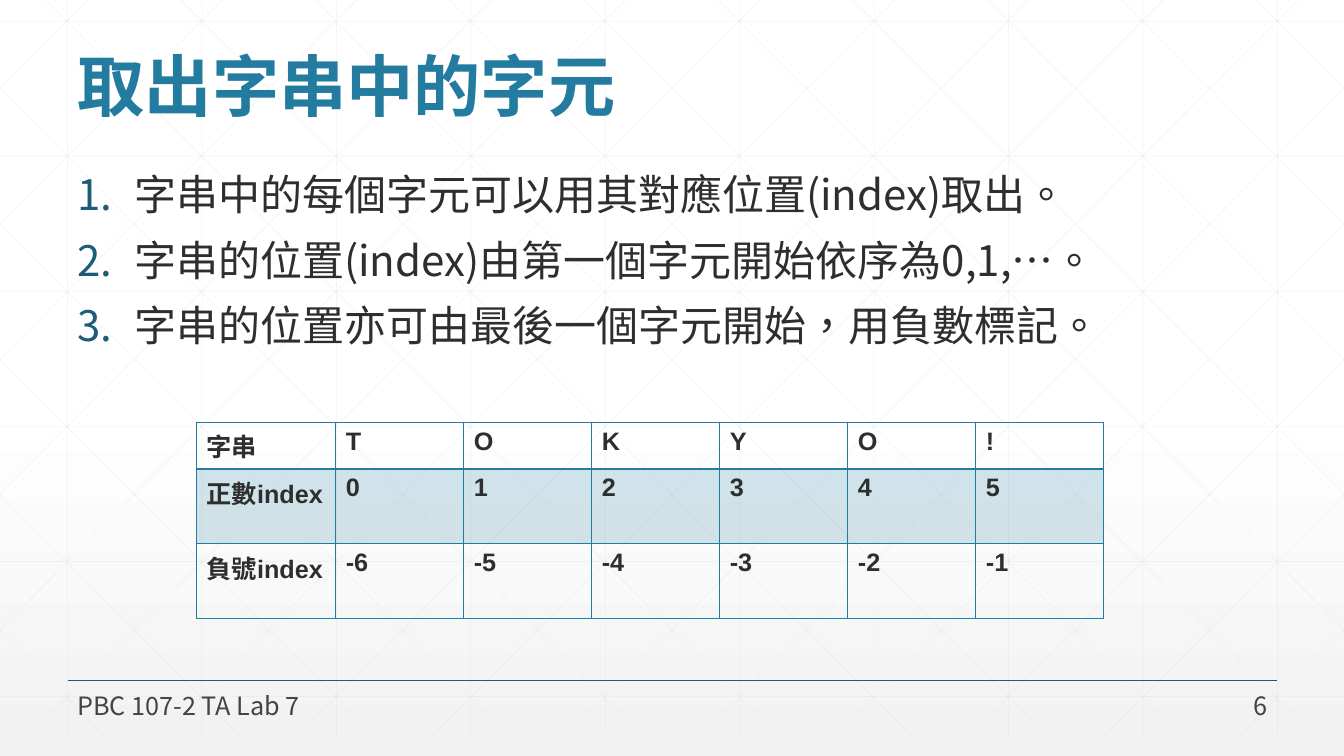
import lxml.etree
import pptx
import pptx.dml.color
import pptx.enum.shapes
import pptx.enum.text
import pptx.oxml.ns
import pptx.util

Inches = pptx.util.Inches
Pt = pptx.util.Pt
RGBColor = pptx.dml.color.RGBColor
ALIGN = pptx.enum.text.PP_ALIGN
ANCHOR = pptx.enum.text.MSO_ANCHOR
qn = pptx.oxml.ns.qn

TEAL = RGBColor(0x24, 0x7B, 0xA0)
DEEP_TEAL = RGBColor(0x1B, 0x5C, 0x78)
INK = RGBColor(0x2D, 0x2E, 0x2D)
FOOTER_GREY = RGBColor(0x42, 0x43, 0x42)
GRID_GREY = RGBColor(0xD9, 0xD9, 0xD9)
WHITE = RGBColor(0xFF, 0xFF, 0xFF)
MIST = RGBColor(0xF2, 0xF2, 0xF2)

CJK = "Noto Sans CJK TC"
TITLE_FONT = {"name": CJK, "size": Pt(48), "bold": True}
LIST_FONT = {"name": "Noto Sans CJK SC", "size": Pt(30)}
FOOTER_FONT = {"name": CJK, "size": Pt(18)}
CELL_FONT = {"name": "Arial", "size": Pt(18), "bold": True}

WIDTH, HEIGHT = 13.33, 7.5
TITLE = "取出字串中的字元"
RULES = [
    "字串中的每個字元可以用其對應位置(index)取出。",
    "字串的位置(index)由第一個字元開始依序為0,1,…。",
    "字串的位置亦可由最後一個字元開始，用負數標記。",
]
WORD = "TOKYO!"
INDEX_ROWS = [
    ["字串", *WORD],
    ["正數index", *range(len(WORD))],
    ["負號index", *range(-len(WORD), 0)],
]


def add_xml(parent, tag, **attributes):
    return lxml.etree.SubElement(parent, qn(tag), {k: str(v) for k, v in attributes.items()})


def apply(target, values):
    for name, value in values.items():
        setattr(target, name, value)


def write(paragraph, text, font, color):
    run = paragraph.add_run()
    run.text = str(text)
    apply(run.font, font)
    run.font.color.rgb = color
    properties = run.font._element
    properties.set("lang", "zh-TW")
    add_xml(properties, "a:ea", typeface=CJK)


def place(shape, box):
    apply(shape, dict(zip(("left", "top", "width", "height"), map(Inches, box))))


def draw_line(slide, start, end, color, points, opacity=100):
    ends = [Inches(value) for value in (*start, *end)]
    line = slide.shapes.add_connector(pptx.enum.shapes.MSO_CONNECTOR.STRAIGHT, *ends)
    line.line.color.rgb = color
    line.line.width = Pt(points)
    properties = line._element.spPr
    if opacity < 100:
        add_xml(next(properties.iter(qn("a:srgbClr"))), "a:alpha", val=opacity * 1000)
    add_xml(properties, "a:effectLst")


def paint_background(slide):
    fill = slide.background.fill
    fill.gradient()
    fill.gradient_angle = 270
    stops = next(slide.background._cSld.iter(qn("a:gsLst")))
    for stop in list(stops):
        stops.remove(stop)
    for position, color in ((0, WHITE), (53, WHITE), (100, MIST)):
        add_xml(add_xml(stops, "a:gs", pos=position * 1000), "a:srgbClr", val=color)


def draw_grid(slide, box):
    left, top, width, height = box
    right, bottom = left + width, top + height
    step, run = 4 / 3, 7.45
    lines = []
    for column in range(10):
        x = left + 0.67 + column * step
        lines.append(((x, top), (x, bottom)))
    for row in range(6):
        y = top + 0.42 + row * 1.34
        lines.append(((left, y), (right, y)))
    for diagonal in range(-5, 10):
        origin = left + 0.25 + diagonal * step
        falling = []
        for x in (max(origin, left), min(origin + run, right)):
            falling.append((x, top + (x - origin) * height / run))
        lines.append(falling)
        lines.append([(left + right - x, y) for x, y in falling])
    for start, end in lines:
        draw_line(slide, start, end, GRID_GREY, 0.5, 25)


def fill_placeholder(slide, placeholder, box, anchor):
    slide.shapes._spTree.append(placeholder._element)
    place(placeholder, box)
    frame = placeholder.text_frame
    apply(frame, {"word_wrap": True, "vertical_anchor": anchor,
                  "auto_size": pptx.enum.text.MSO_AUTO_SIZE.NONE})
    return frame


def add_title(slide, box):
    frame = fill_placeholder(slide, slide.shapes.title, box, ANCHOR.BOTTOM)
    heading = frame.paragraphs[0]
    apply(heading, {"alignment": ALIGN.LEFT, "line_spacing": 0.9})
    write(heading, TITLE, TITLE_FONT, TEAL)


def add_rules(slide, box):
    frame = fill_placeholder(slide, slide.placeholders[1], box, ANCHOR.TOP)
    indent = Inches(0.56)
    for number, text in enumerate(RULES):
        rule = frame.add_paragraph() if number else frame.paragraphs[0]
        apply(rule, {"line_spacing": 0.9, "space_before": Pt(14.4), "space_after": Pt(0)})
        properties = rule._p.get_or_add_pPr()
        properties.set("marL", str(indent))
        properties.set("indent", str(-indent))
        add_xml(add_xml(properties, "a:buClr"), "a:srgbClr", val=DEEP_TEAL)
        add_xml(properties, "a:buFont", typeface=CJK)
        add_xml(properties, "a:buAutoNum", type="arabicPeriod")
        write(rule, text, LIST_FONT, INK)


def format_cell(cell, header, below_header):
    properties = cell._tc.get_or_add_tcPr()
    for side in "LRTB":
        thick = (header and side == "B") or (below_header and side == "T")
        border = add_xml(properties, f"a:ln{side}", w=Pt(2 if thick else 1))
        add_xml(add_xml(border, "a:solidFill"), "a:srgbClr", val=TEAL)
    if below_header:
        cell.fill.solid()
        cell.fill.fore_color.rgb = TEAL
        tint = properties.find(qn("a:solidFill")).find(qn("a:srgbClr"))
        add_xml(tint, "a:alpha", val=20000)
    else:
        cell.fill.background()


def add_index_table(slide, box):
    rows, columns = len(INDEX_ROWS), len(INDEX_ROWS[0])
    table = slide.shapes.add_table(rows, columns, *map(Inches, box)).table
    apply(table, {"first_row": False, "horz_banding": False})
    label_width, header_height = 1.38, 0.46
    letter_width = (box[2] - label_width) / (columns - 1)
    index_height = (box[3] - header_height) / (rows - 1)
    for number, column in enumerate(table.columns):
        column.width = Inches(letter_width if number else label_width)
    for number, row in enumerate(table.rows):
        row.height = Inches(index_height if number else header_height)
        for cell, text in zip(row.cells, INDEX_ROWS[number]):
            format_cell(cell, number == 0, number == 1)
            write(cell.text_frame.paragraphs[0], text, CELL_FONT, INK)


def add_footer(slide, box):
    left, top, width, height = box
    draw_line(slide, (left, top), (left + width, top), DEEP_TEAL, 1)
    label_height, number_width = 0.24, 1
    label_top = top + height - label_height
    for text, x, label_width, alignment in (
        ("PBC 107-2 TA Lab 7", left, 6.7, ALIGN.LEFT),
        ("6", left + width - number_width, number_width, ALIGN.RIGHT),
    ):
        label = slide.shapes.add_textbox(0, 0, 0, 0)
        place(label, (x, label_top, label_width, label_height))
        apply(label.text_frame, {"word_wrap": True, "vertical_anchor": ANCHOR.MIDDLE})
        line = label.text_frame.paragraphs[0]
        line.alignment = alignment
        write(line, text, FOOTER_FONT, FOOTER_GREY)


def build_index_slide(deck):
    slide = deck.slides.add_slide(deck.slide_layouts[1])
    paint_background(slide)
    draw_grid(slide, (0, -0.21, WIDTH, HEIGHT))
    add_footer(slide, (0.67, 6.75, 12, 0.37))
    add_title(slide, (0.67, 0.22, 12, 1.08))
    add_rules(slide, (0.67, 1.68, 12, 4.92))
    add_index_table(slide, (1.95, 4.19, 9, 1.94))


deck = pptx.Presentation()
apply(deck, {"slide_width": Inches(WIDTH), "slide_height": Inches(HEIGHT)})
build_index_slide(deck)
deck.save("out.pptx")
